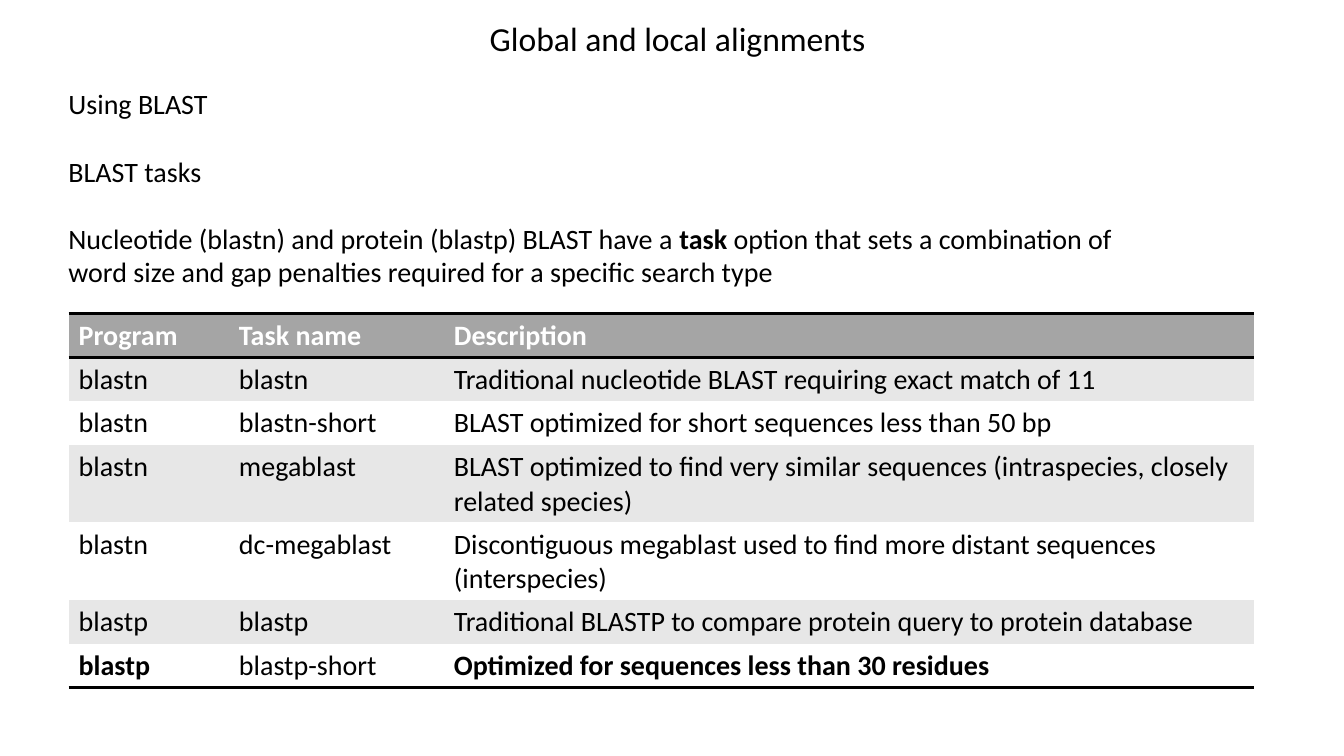
from lxml import etree
from pptx import Presentation
from pptx.dml.color import RGBColor
from pptx.enum.text import PP_ALIGN
from pptx.oxml.ns import qn
from pptx.util import Pt

CENTER = PP_ALIGN.CENTER
LEFT = PP_ALIGN.LEFT

BLACK = RGBColor(0x00, 0x00, 0x00)
WHITE = RGBColor(0xFF, 0xFF, 0xFF)
HEADER_GRAY = RGBColor(0xA5, 0xA5, 0xA5)
BAND_GRAY = RGBColor(0xE7, 0xE7, 0xE7)

FONT = "Calibri"
BODY_SIZE = 20
PLAIN_TABLE_STYLE = "{2D5ABB26-0587-4C30-8999-92F81FD0307C}"

INTRO = [
    [("Using BLAST", False)],
    [("BLAST tasks", False)],
    [
        ("Nucleotide (blastn) and protein (blastp) BLAST have a ", False),
        ("task ", True),
        ("option that sets a combination of word size and gap penalties "
         "required for a specific search type", False),
    ],
]

COLUMN_WIDTHS = [114.5, 153.5, 578.5]
ONE_LINE, TWO_LINES = 31.3, 55.2
HEADINGS = ("Program", "Task name", "Description")
TASKS = [
    ("blastn", "blastn", "Traditional nucleotide BLAST requiring exact match of 11"),
    ("blastn", "blastn-short", "BLAST optimized for short sequences less than 50 bp"),
    ("blastn", "megablast",
     "BLAST optimized to find very similar sequences (intraspecies, closely related species)"),
    ("blastn", "dc-megablast",
     "Discontiguous megablast used to find more distant sequences (interspecies)"),
    ("blastp", "blastp", "Traditional BLASTP to compare protein query to protein database"),
    ("blastp", "blastp-short", "Optimized for sequences less than 30 residues"),
]
ROW_HEIGHTS = [ONE_LINE] * 3 + [TWO_LINES] * 2 + [ONE_LINE] * 2


def style_font(font, size, color=BLACK):
    font.name = FONT
    font.size = Pt(size)
    font.color.rgb = color


def add_text(page, left, top, width, height, paragraphs, size,
             align=LEFT, wrap=True, gap=0):
    """Add a text box; each paragraph is a list of (text, bold) spans."""
    box = page.shapes.add_textbox(Pt(left), Pt(top), Pt(width), Pt(height))
    frame = box.text_frame
    frame.word_wrap = wrap
    for index, spans in enumerate(paragraphs):
        para = frame.add_paragraph() if index else frame.paragraphs[0]
        para.alignment = align
        para.space_before = Pt(gap if index else 0)
        style_font(para.font, size)
        for text, bold in spans:
            span = para.add_run()
            span.text = text
            span.font.bold = bold


def add_borders(cell, edges):
    """Draw black lines on the given edges, such as lnT and lnB, in that order."""
    properties = cell._tc.get_or_add_tcPr()
    for index, edge in enumerate(edges):
        line = etree.Element(qn(f"a:{edge}"), w=str(Pt(2)))
        fill = etree.SubElement(line, qn("a:solidFill"))
        etree.SubElement(fill, qn("a:srgbClr"), val=str(BLACK))
        properties.insert(index, line)


def fill_cell(cell, text, background, color, bold):
    cell.text = text
    cell.fill.solid()
    cell.fill.fore_color.rgb = background
    font = cell.text_frame.paragraphs[0].font
    style_font(font, BODY_SIZE, color)
    font.bold = bold


def add_task_table(page):
    rows = [HEADINGS] + TASKS
    last = len(rows) - 1
    frame = page.shapes.add_table(len(rows), len(HEADINGS), Pt(49), Pt(224),
                                  Pt(sum(COLUMN_WIDTHS)), Pt(sum(ROW_HEIGHTS)))
    table = frame.table
    table._tbl.tblPr.find(qn("a:tableStyleId")).text = PLAIN_TABLE_STYLE
    for column, width in zip(table.columns, COLUMN_WIDTHS):
        column.width = Pt(width)
    for row, height in zip(table.rows, ROW_HEIGHTS):
        row.height = Pt(height)

    for r, texts in enumerate(rows):
        band = BAND_GRAY if r % 2 else WHITE
        for c, text in enumerate(texts):
            cell = table.cell(r, c)
            if r == 0:
                fill_cell(cell, text, HEADER_GRAY, WHITE, True)
                add_borders(cell, ["lnT", "lnB"])
            else:
                fill_cell(cell, text, band, BLACK, r == last and c != 1)
            if r == last:
                add_borders(cell, ["lnB"])


def main():
    deck = Presentation()
    deck.slide_width, deck.slide_height = Pt(960), Pt(540)
    page = deck.slides.add_slide(deck.slide_layouts[6])
    add_text(page, 341.5, 9.5, 285, 58, [[("Global and local alignments", False)]],
             24, align=CENTER, wrap=False)
    add_text(page, 41.8, 58.5, 784, 250, INTRO, BODY_SIZE, gap=24)
    add_task_table(page)
    deck.save("out.pptx")


if __name__ == "__main__":
    main()
